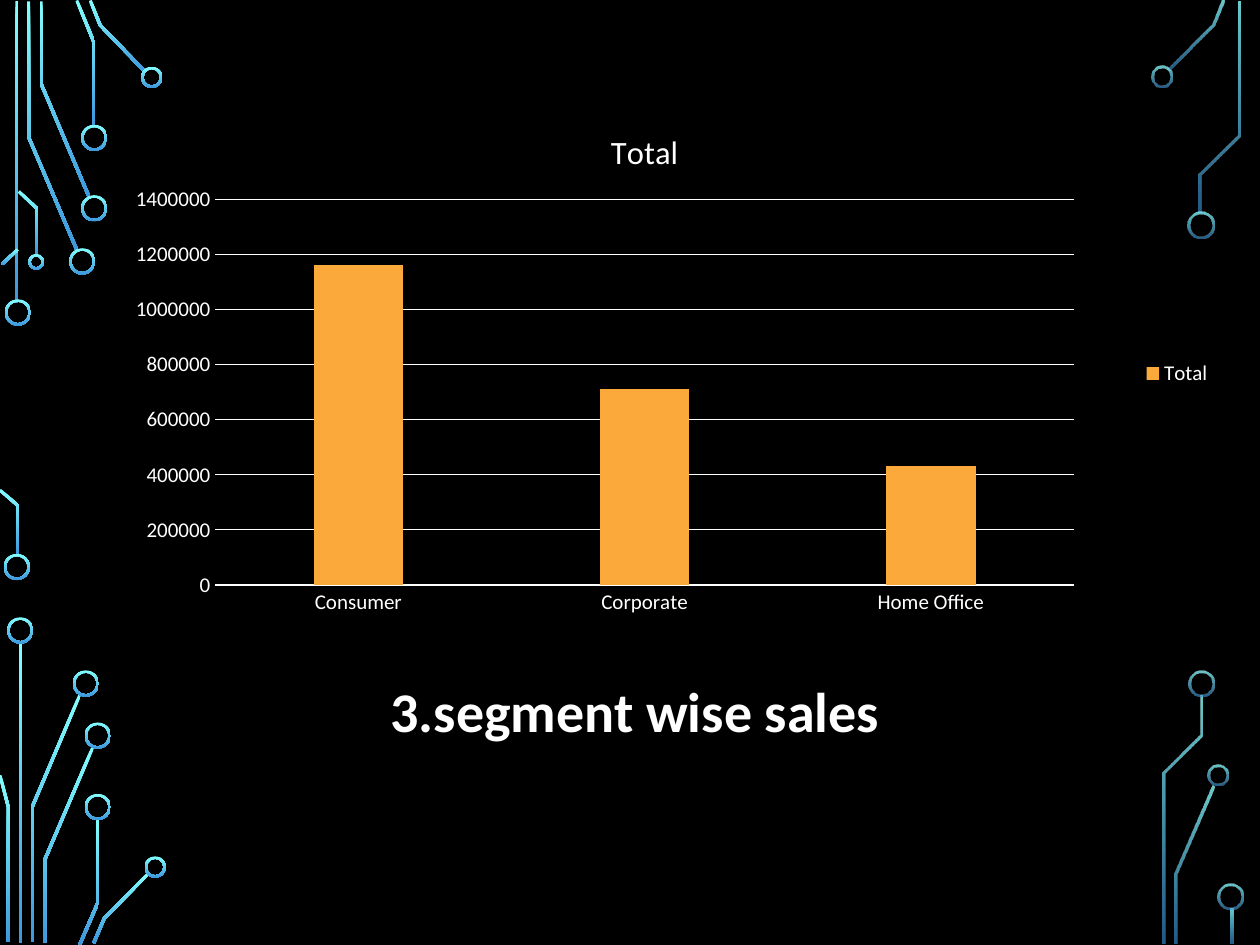
import math

import pptx
import pptx.chart.data
import pptx.dml.color
import pptx.enum.chart
import pptx.enum.shapes
import pptx.enum.text
import pptx.oxml
import pptx.oxml.ns
import pptx.util
from pptx.util import Cm

WHITE = "FFFFFF"
TRACE_WIDTH = 0.06
RING_THICKNESS = 0.05
GLOW = ("82FFFF", "3D97DE")

LEFT_TRACES = [
    [(0.34, 0.03), (0.34, 6.1)],
    [(0.58, 0.03), (0.58, 2.77), (1.55, 5.04)],
    [(0.83, 0.03), (0.83, 1.69), (1.8, 3.98)],
    [(1.55, 0.01), (1.89, 0.84), (1.89, 2.54)],
    [(1.82, 0.01), (2.02, 0.51), (2.93, 1.45)],
    [(0.04, 5.33), (0.36, 5.03)],
    [(0, 9.88), (0.36, 10.19), (0.36, 11.2)],
    [(0.38, 3.86), (0.74, 4.2), (0.74, 5.16)],
    [(0.41, 12.95), (0.41, 19.02)],
    [(0.65, 19), (0.65, 16.27), (1.61, 14.01)],
    [(0.17, 19), (0.17, 16.28), (0, 15.63)],
    [(0.9, 19.02), (0.9, 17.34), (1.87, 15.07)],
    [(1.61, 19.04), (1.97, 18.21), (1.97, 16.51)],
    [(1.89, 19.01), (2.1, 18.52), (3, 17.6)],
]
LEFT_RINGS = [
    (0.36, 6.3, 0.53), (0.34, 11.43, 0.53), (1.66, 5.27, 0.53),
    (1.9, 4.2, 0.53), (1.9, 2.78, 0.53), (3.06, 1.56, 0.43),
    (0.73, 5.28, 0.32), (0.41, 12.71, 0.53), (1.73, 13.78, 0.53),
    (1.97, 14.83, 0.53), (1.97, 16.27, 0.53), (3.13, 17.48, 0.43),
]
RIGHT_TRACES = [
    [(23.56, 1.41), (24.46, 0.51), (24.66, 0.01)],
    [(23.7, 19.02), (23.7, 17.61), (24.46, 15.84)],
    [(24.19, 4.29), (24.19, 3.52), (24.98, 2.73), (24.98, 0.03)],
    [(23.46, 19.02), (23.46, 15.58), (24.22, 14.82), (24.22, 14.02)],
    [(24.83, 18.31), (24.83, 19.02)],
]
RIGHT_RINGS = [
    (23.42, 1.54, 0.43), (24.21, 4.54, 0.53), (24.55, 15.63, 0.43),
    (24.22, 13.78, 0.53), (24.81, 18.08, 0.53),
]


def color(value):
    """Turn a hex string into a colour."""
    return pptx.dml.color.RGBColor.from_string(value)


def style_font(font, **values):
    """Apply font values, Calibri and white unless told otherwise."""
    for name, value in {"name": "Calibri", **values}.items():
        setattr(font, name, value)
    font.color.rgb = color(WHITE)


def style_glow(shape, opacities):
    """Fill a shape with the vertical circuit gradient."""
    shape.shadow.inherit = False
    shape.line.fill.background()
    shape.fill.gradient()
    shape.fill.gradient_angle = 270
    for stop, value, position in zip(shape.fill.gradient_stops, GLOW, (0, 1)):
        stop.color.rgb = color(value)
        stop.position = position
    stops = shape.element.iter(pptx.oxml.ns.qn("a:srgbClr"))
    for stop_color, opacity in zip(list(stops), opacities):
        if opacity < 100:
            alpha = pptx.oxml.parse_xml(
                f'<a:alpha {pptx.oxml.ns.nsdecls("a")} val="{opacity * 1000}"/>')
            stop_color.append(alpha)


def trace_outline(points):
    """Return the mitred outline of a bent line of constant width."""
    normals = []
    for (x1, y1), (x2, y2) in zip(points, points[1:]):
        length = math.hypot(x2 - x1, y2 - y1)
        normals.append(((y1 - y2) / length, (x2 - x1) / length))
    one_side, other_side = [], []
    for (x, y), (ax, ay), (bx, by) in zip(
            points, normals[:1] + normals, normals + normals[-1:]):
        reach = TRACE_WIDTH / 2 / (1 + ax * bx + ay * by)
        dx, dy = reach * (ax + bx), reach * (ay + by)
        one_side.append((Cm(x + dx), Cm(y + dy)))
        other_side.append((Cm(x - dx), Cm(y - dy)))
    return one_side + other_side[::-1]


def add_trace(page, points, opacities):
    """Draw one circuit trace."""
    start, *rest = trace_outline(points)
    builder = page.shapes.build_freeform(*start)
    builder.add_line_segments(rest, close=True)
    style_glow(builder.convert_to_shape(), opacities)


def add_ring(page, x, y, diameter, opacities):
    """Draw one circuit terminal around its centre."""
    ring = page.shapes.add_shape(
        pptx.enum.shapes.MSO_SHAPE.DONUT, Cm(x - diameter / 2),
        Cm(y - diameter / 2), Cm(diameter), Cm(diameter))
    ring.adjustments[0] = RING_THICKNESS / diameter
    style_glow(ring, opacities)


def add_circuit(page, traces, rings, opacities):
    """Draw the traces and terminals of one side."""
    for points in traces:
        add_trace(page, points, opacities)
    for x, y, diameter in rings:
        add_ring(page, x, y, diameter, opacities)


def style_line(line):
    """Make a chart line thin and white."""
    line.color.rgb = color(WHITE)
    line.width = pptx.util.Pt(0.75)


def place_plot(chart, **layout):
    """Fix the inner plot area as fractions of the chart."""
    values = "".join(f'<c:{key} val="{value}"/>' for key, value in layout.items())
    area = chart.element.find(".//" + pptx.oxml.ns.qn("c:plotArea"))
    for old in area.findall(pptx.oxml.ns.qn("c:layout")):
        area.remove(old)
    area.insert(0, pptx.oxml.parse_xml(
        f'<c:layout {pptx.oxml.ns.nsdecls("c")}><c:manualLayout>'
        '<c:layoutTarget val="inner"/><c:xMode val="edge"/><c:yMode val="edge"/>'
        f'{values}</c:manualLayout></c:layout>'))


def add_sales_chart(page):
    """Add the column chart of sales by segment."""
    data = pptx.chart.data.CategoryChartData()
    data.categories = ["Consumer", "Corporate", "Home Office"]
    data.add_series("Total", [1160000, 710000, 430000])
    chart = page.shapes.add_chart(
        pptx.enum.chart.XL_CHART_TYPE.COLUMN_CLUSTERED,
        Cm(1.3), Cm(2.13), Cm(23.39), Cm(10.8), data).chart
    style_font(chart.font, size=pptx.util.Pt(10))
    chart.has_title = True
    chart.chart_title.include_in_layout = False
    chart.chart_title.text_frame.text = "Total"
    span = chart.chart_title.text_frame.paragraphs[0].runs[0]
    style_font(span.font, size=pptx.util.Pt(18.6), bold=False)
    chart.has_legend = True
    chart.legend.position = pptx.enum.chart.XL_LEGEND_POSITION.RIGHT
    chart.legend.include_in_layout = False
    style_font(chart.legend.font, size=pptx.util.Pt(12))
    for axis in (chart.category_axis, chart.value_axis):
        axis.major_tick_mark = pptx.enum.chart.XL_TICK_MARK.NONE
        style_font(axis.tick_labels.font, size=pptx.util.Pt(12))
    style_line(chart.category_axis.format.line)
    chart.value_axis.format.line.fill.background()
    style_line(chart.value_axis.major_gridlines.format.line)
    plot = chart.plots[0]
    for name, value in {"gap_width": 219, "overlap": -27,
                        "vary_by_categories": False}.items():
        setattr(plot, name, value)
    plot.series[0].format.fill.solid()
    plot.series[0].format.fill.fore_color.rgb = color("FAA93A")
    place_plot(chart, x=0.13, y=0.175, w=0.74, h=0.72)


def add_caption(page, text):
    """Add the centred bold caption below the chart."""
    box = page.shapes.add_textbox(Cm(1.5), Cm(13.51), Cm(22.61), Cm(2.39))
    box.text_frame.word_wrap = True
    para = box.text_frame.paragraphs[0]
    para.alignment = pptx.enum.text.PP_ALIGN.CENTER
    span = para.add_run()
    span.text = text
    style_font(span.font, size=pptx.util.Pt(32), bold=True)


def main():
    """Build and save the slide."""
    deck = pptx.Presentation()
    deck.slide_width, deck.slide_height = Cm(25.4), Cm(19.05)
    page = deck.slides.add_slide(deck.slide_layouts[6])
    page.background.fill.solid()
    page.background.fill.fore_color.rgb = color("000000")
    add_circuit(page, LEFT_TRACES, LEFT_RINGS, (100, 100))
    add_circuit(page, RIGHT_TRACES, RIGHT_RINGS, (80, 60))
    add_sales_chart(page)
    add_caption(page, "3.segment wise sales")
    deck.save("out.pptx")


if __name__ == "__main__":
    main()
